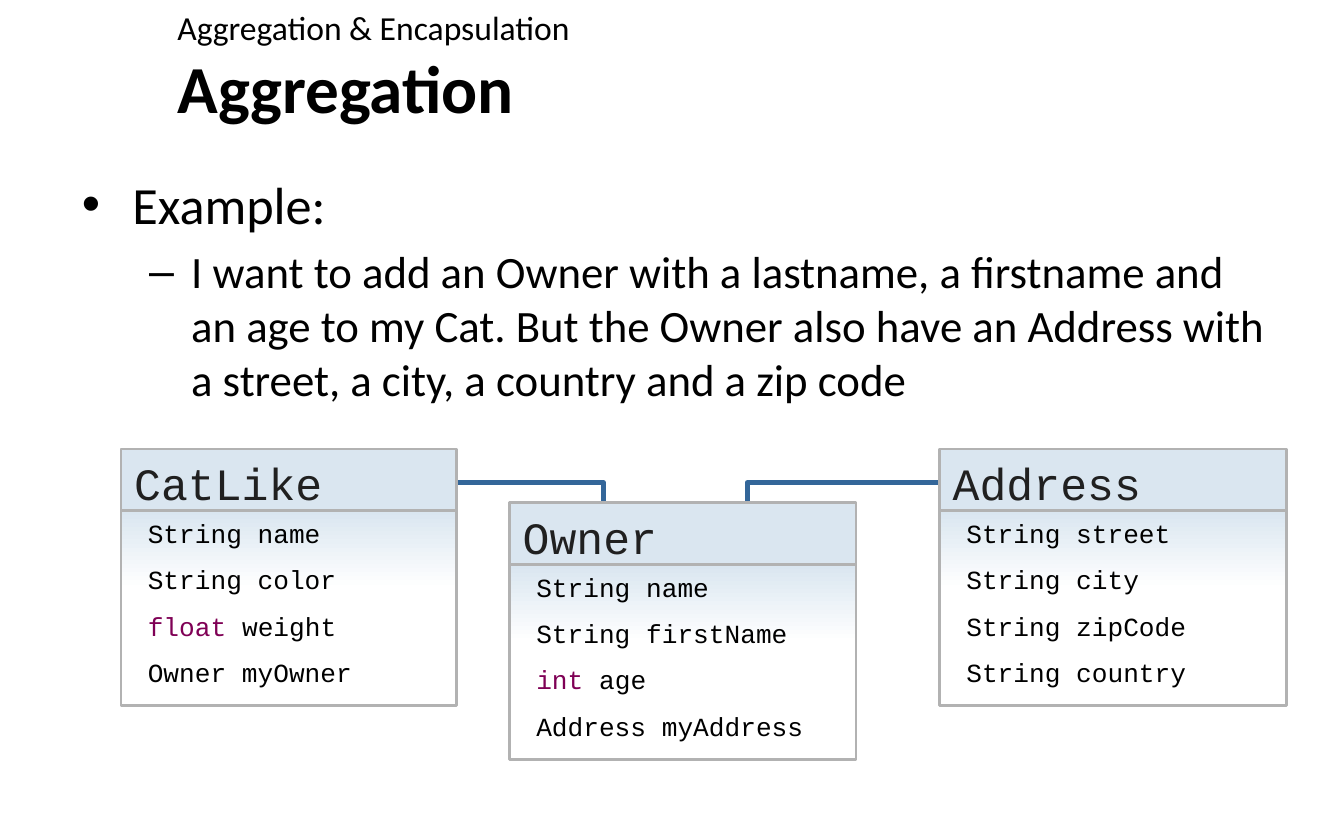
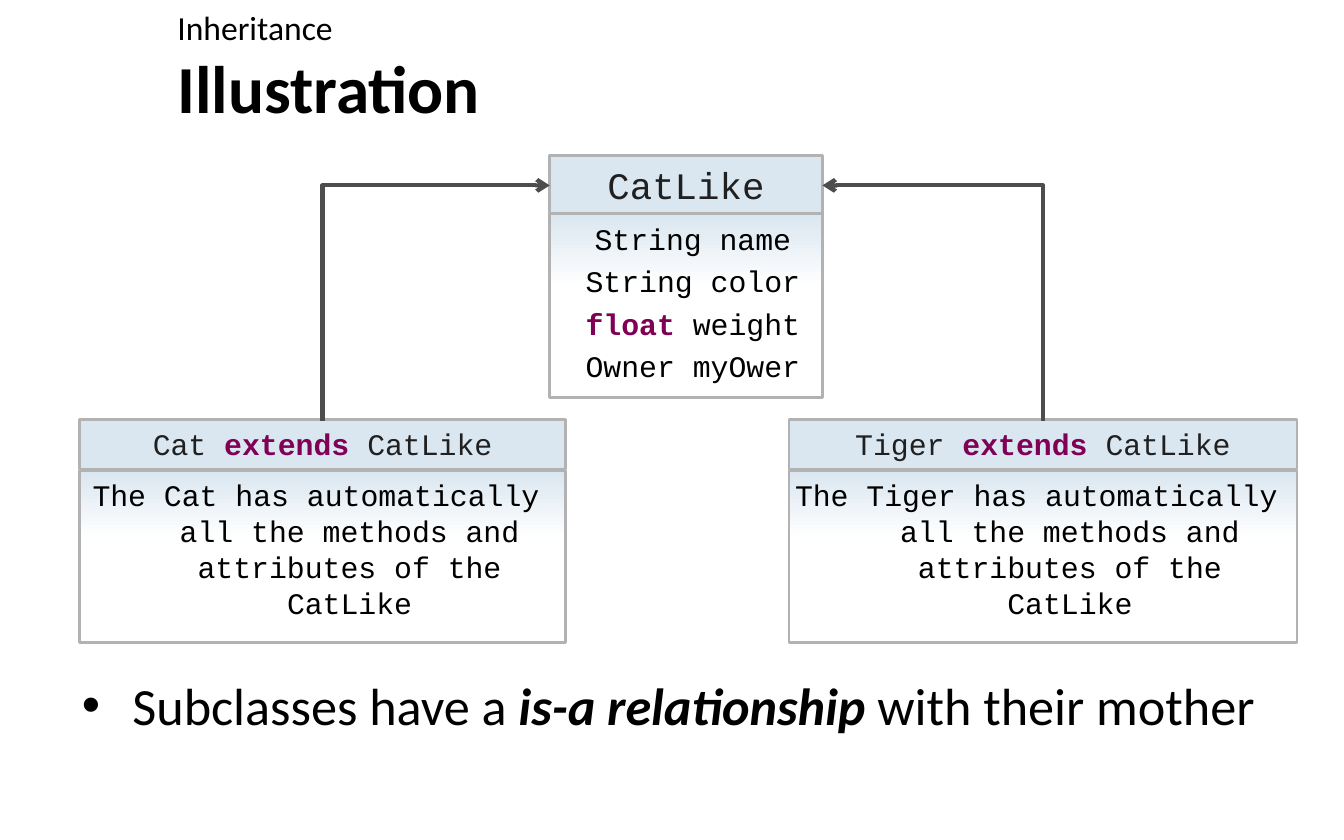
from dataclasses import dataclass

from lxml import etree
from pptx import Presentation
from pptx.dml.color import RGBColor
from pptx.enum.shapes import MSO_CONNECTOR, MSO_SHAPE
from pptx.enum.text import MSO_ANCHOR, MSO_AUTO_SIZE, PP_ALIGN
from pptx.oxml.ns import qn
from pptx.util import Inches, Pt

RECTANGLE = MSO_SHAPE.RECTANGLE
ELBOW = MSO_CONNECTOR.ELBOW
LEFT, CENTER = PP_ALIGN.LEFT, PP_ALIGN.CENTER
TOP, MIDDLE = MSO_ANCHOR.TOP, MSO_ANCHOR.MIDDLE
NO_AUTOFIT = MSO_AUTO_SIZE.NONE

# Shared look
COLORS = {
    "text": "000000",
    "header_text": "202020",
    "keyword": "7F0055",
    "header": "DAE6F0",
    "paper": "FFFFFF",
    "border": "B2B2B2",
    "aggregation": "336699",
    "inheritance": "4D4D4D",
}
TEXT_FONT, CODE_FONT = "Calibri", "Courier New"
KEYWORDS = ("float", "int", "extends")
CAPTION_LAYOUT = 7
HANGING = Inches(0.5)


@dataclass
class CardStyle:
    """Type and spacing of a class card."""
    header_size: int
    body_size: int
    header_height: float
    body_offset: float
    body_height: float
    space_before: float
    align: PP_ALIGN = CENTER
    bold_keywords: bool = True
    inset: float = 0.2


@dataclass
class Card:
    """A class with its name and members."""
    name: str
    members: list[str]
    left: float
    top: float
    width: float
    style: CardStyle


@dataclass
class Elbow:
    """A bent line whose bend is a share of its width."""
    begin: tuple[float, float]
    end: tuple[float, float]
    bend: int
    color: str
    width: float
    arrow: bool = False


FIELDS = CardStyle(24, 14, 0.51, 0.46, 1.45, 8, LEFT, False)
PARENT = CardStyle(20, 16, 0.44, 0.43, 1.37, 3.6)
CHILD = CardStyle(16, 16, 0.37, 0.38, 1.28, 8, inset=0)

AGGREGATION_CARDS = [
    Card("CatLike", ["String name", "String color", "float weight", "Owner myOwner"],
         0.9, 3.34, 2.5, FIELDS),
    Card("Owner", ["String name", "String firstName", "int age", "Address myAddress"],
         3.79, 3.74, 2.58, FIELDS),
    Card("Address", ["String street", "String city", "String zipCode", "String country"],
         6.99, 3.34, 2.58, FIELDS),
]
AGGREGATION_LINES = [
    Elbow((3.4, 3.59), (4.49, 3.85), 1, "aggregation", 2.5),
    Elbow((5.56, 3.81), (6.99, 3.59), 0, "aggregation", 2.5),
]
INHERITED = "The {} has automatically all the methods and attributes of the CatLike"
INHERITANCE_CARDS = [
    Card("CatLike", ["String name", "String color", "float weight", "Owner myOwer"],
         4.09, 1.16, 2.03, PARENT),
    Card("Cat extends CatLike", [INHERITED.format("Cat")], 0.59, 3.12, 3.62, CHILD),
    Card("Tiger extends CatLike", [INHERITED.format("Tiger")], 5.87, 3.12, 3.78, CHILD),
]
INHERITANCE_LINES = [
    Elbow((2.4, 3.13), (4.09, 1.38), 0, "inheritance", 2.25, True),
    Elbow((7.76, 3.13), (6.12, 1.38), 0, "inheritance", 2.25, True),
]


def rgb(name: str) -> RGBColor:
    return RGBColor.from_string(COLORS[name])


def format_run(run, font: str, size: float, color: str, bold: bool = False) -> None:
    run.font.name, run.font.size, run.font.bold = font, Pt(size), bold
    run.font.color.rgb = rgb(color)


def place(shape, left: float, top: float, width: float, height: float) -> None:
    shape.left, shape.top = Inches(left), Inches(top)
    shape.width, shape.height = Inches(width), Inches(height)


def add_slide(presentation, topic: str, title: str, body_top: float, body_height: float):
    """Add a slide with its topic and title; return it with the body frame."""
    slide = presentation.slides.add_slide(presentation.slide_layouts[CAPTION_LAYOUT])
    heading, body, caption = slide.placeholders
    place(heading, 1.22, 0.37, 8.51, 0.55)
    place(body, 0.51, body_top, 9.06, body_height)
    place(caption, 1.22, 0, 8.51, 0.37)
    for shape, text, size in ((heading, title, 36), (caption, topic, 18)):
        shape.text_frame.text = text
        shape.text_frame.auto_size = NO_AUTOFIT
        format_run(shape.text_frame.paragraphs[0].runs[0], TEXT_FONT, size, "text",
                   shape is heading)
    heading.text_frame.vertical_anchor = MIDDLE
    body.text_frame.auto_size = NO_AUTOFIT
    return slide, body.text_frame


def split_keyword(line: str) -> list[str]:
    """Split a line of code around its keyword."""
    for keyword in KEYWORDS:
        before, found, after = line.partition(keyword + " ")
        if found:
            return [part for part in (before, found, after) if part]
    return [line]


def write_code(frame, lines: list[str], size: int, color: str, style: CardStyle,
               space_before: float, hanging: bool) -> None:
    frame.word_wrap, frame.vertical_anchor = True, TOP
    for index, line in enumerate(lines):
        paragraph = frame.add_paragraph() if index else frame.paragraphs[0]
        paragraph.alignment, paragraph.space_before = style.align, Pt(space_before)
        if hanging:
            properties = paragraph._p.get_or_add_pPr()
            properties.set("marL", str(HANGING))
            properties.set("indent", str(-HANGING))
        for part in split_keyword(line):
            run = paragraph.add_run()
            run.text = part
            is_keyword = part.strip() in KEYWORDS
            format_run(run, CODE_FONT, size, "keyword" if is_keyword else color,
                       is_keyword and style.bold_keywords)


def add_box(slide, left: float, top: float, width: float, height: float):
    box = slide.shapes.add_shape(RECTANGLE, Inches(left), Inches(top),
                                 Inches(width), Inches(height))
    box.shadow.inherit = False
    box.line.color.rgb = rgb("border")
    box.line.width = Pt(1.5)
    return box


def add_card(slide, card: Card) -> None:
    style = card.style
    header = add_box(slide, card.left, card.top, card.width, style.header_height)
    header.fill.solid()
    header.fill.fore_color.rgb = rgb("header")
    write_code(header.text_frame, [card.name], style.header_size, "header_text",
               style, style.header_size / 2, False)

    body = add_box(slide, card.left, card.top + style.body_offset, card.width,
                   style.body_height)
    body.fill.gradient()
    body.fill.gradient_angle = 270
    for stop, color, position in zip(body.fill.gradient_stops, ("header", "paper"), (0, 0.4)):
        stop.color.rgb, stop.position = rgb(color), position
    body.text_frame.margin_left = Inches(style.inset)
    write_code(body.text_frame, card.members, style.body_size, "text", style,
               style.space_before, True)


def add_elbow(slide, elbow: Elbow) -> None:
    points = [Inches(value) for value in (*elbow.begin, *elbow.end)]
    connector = slide.shapes.add_connector(ELBOW, *points)
    connector.line.color.rgb = rgb(elbow.color)
    connector.line.width = Pt(elbow.width)
    properties = connector._element.spPr
    guides = properties.find(qn("a:prstGeom")).find(qn("a:avLst"))
    etree.SubElement(guides, qn("a:gd"), name="adj1", fmla=f"val {elbow.bend * 100000}")
    if elbow.arrow:
        etree.SubElement(properties.find(qn("a:ln")), qn("a:tailEnd"), type="arrow")
    etree.SubElement(properties, qn("a:effectLst"))


def build_aggregation(presentation) -> None:
    slide, body = add_slide(presentation, "Aggregation & Encapsulation", "Aggregation",
                            1.23, 4.63)
    body.text = ("Example:\nI want to add an Owner with a lastname, a firstname and an age "
                 "to my Cat. But the Owner also have an Address with a street, a city, "
                 "a country and a zip code")
    body.paragraphs[1].level = 1
    for paragraph, size in zip(body.paragraphs, (28, 24)):
        format_run(paragraph.runs[0], TEXT_FONT, size, "text")
    # Lines lie behind the cards
    for elbow in AGGREGATION_LINES:
        add_elbow(slide, elbow)
    for card in AGGREGATION_CARDS:
        add_card(slide, card)


def build_inheritance(presentation) -> None:
    slide, body = add_slide(presentation, "Inheritance", "Illustration", 4.96, 0.9)
    for text in ("Subclasses have a ", "is-a relationship", " with their mother"):
        run = body.paragraphs[0].add_run()
        run.text = text
        emphasis = text == "is-a relationship"
        format_run(run, TEXT_FONT, 28, "text", emphasis)
        run.font.italic = emphasis
    for card in INHERITANCE_CARDS:
        add_card(slide, card)
    # Arrows point from each subclass to its parent
    for elbow in INHERITANCE_LINES:
        add_elbow(slide, elbow)


def main() -> None:
    presentation = Presentation()
    presentation.slide_width, presentation.slide_height = Inches(10), Inches(6.25)
    build_aggregation(presentation)
    build_inheritance(presentation)
    presentation.save("out.pptx")


if __name__ == "__main__":
    main()
